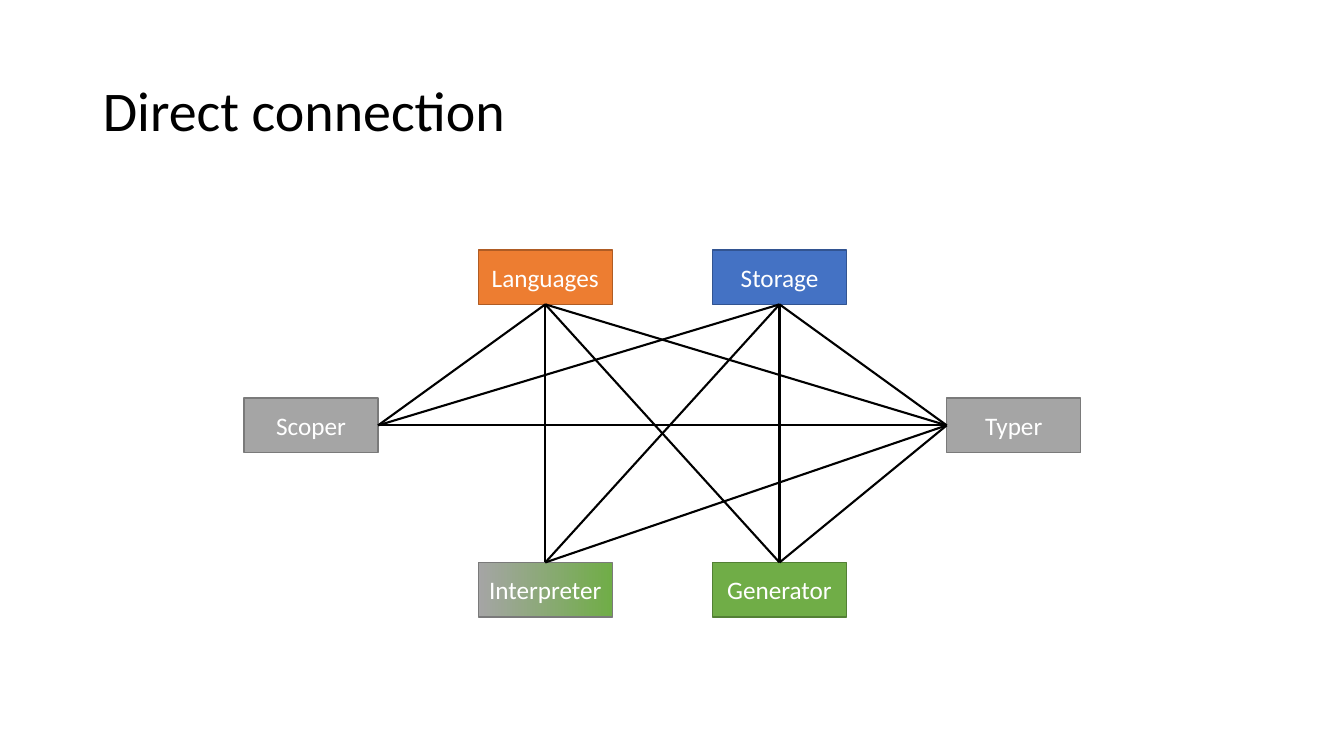
from lxml import etree
from pptx import Presentation
from pptx import util as u
from pptx.dml.color import RGBColor
from pptx.enum import shapes, text
from pptx.oxml.ns import qn

TITLE = "Direct connection"
FONT = "Calibri"
COLORS = {
    "black": "000000", "white": "FFFFFF",
    "blue": "4472C4", "blue_edge": "325491",
    "orange": "ED7D31", "orange_edge": "AF5C24",
    "gray": "A5A5A5", "gray_edge": "7A7A7A",
    "green": "70AD47", "green_edge": "538035",
}
TOP, LEFT, BOTTOM, RIGHT = range(4)
# name, column, row, fill colours, edge colour, connection side
BOXES = [
    ("Storage", 2, 0, ["blue"], "blue_edge", BOTTOM),
    ("Languages", 1, 0, ["orange"], "orange_edge", BOTTOM),
    ("Typer", 3, 1, ["gray"], "gray_edge", LEFT),
    ("Generator", 2, 2, ["green"], "green_edge", TOP),
    ("Scoper", 0, 1, ["gray"], "gray_edge", RIGHT),
    ("Interpreter", 1, 2, ["gray", "green"], "gray_edge", TOP),
]
LINKS = {
    "Typer": ["Languages", "Scoper", "Storage"],
    "Generator": ["Typer", "Storage", "Languages"],
    "Interpreter": ["Languages", "Storage", "Typer"],
    "Scoper": ["Languages", "Storage"],
}
FIRST_COL, LAST_COL = 2.42, 9.39
COL_STEP = (LAST_COL - FIRST_COL) / 3
ROW_TOPS = [2.48, 3.95, 5.58]
BOX_W, BOX_H = 1.33, 0.54


def rgb(name):
    return RGBColor.from_string(COLORS[name])


def format_text(tf, size, color, align):
    tf.vertical_anchor = text.MSO_ANCHOR.MIDDLE
    p = tf.paragraphs[0]
    p.alignment = align
    font = p.runs[0].font
    font.name, font.size = FONT, u.Pt(size)
    font.color.rgb = rgb(color)
    return p


def add_box(s, name, col, row, fills, edge):
    sp = s.shapes.add_shape(
        shapes.MSO_SHAPE.RECTANGLE,
        u.Inches(FIRST_COL + col * COL_STEP), u.Inches(ROW_TOPS[row]),
        u.Inches(BOX_W), u.Inches(BOX_H))
    sp.shadow.inherit = False
    if len(fills) == 1:
        sp.fill.solid()
        sp.fill.fore_color.rgb = rgb(fills[0])
    else:
        sp.fill.gradient()
        sp.fill.gradient_angle = 0
        for stop, color in zip(sp.fill.gradient_stops, fills):
            stop.color.rgb = rgb(color)
    sp.line.color.rgb = rgb(edge)
    sp.line.width = u.Pt(1)
    sp.text_frame.text = name
    format_text(sp.text_frame, 18, "white", text.PP_ALIGN.CENTER)
    return sp


def add_link(s, start, end):
    line = s.shapes.add_connector(shapes.MSO_CONNECTOR.STRAIGHT, 0, 0, 0, 0)
    line.begin_connect(*start)
    line.end_connect(*end)
    line.line.color.rgb = rgb("black")
    line.line.width = u.Pt(1.5)
    etree.SubElement(line._element.spPr, qn("a:effectLst"))


def main():
    prs = Presentation()
    prs.slide_width, prs.slide_height = u.Inches(13.33), u.Inches(7.5)
    s = prs.slides.add_slide(prs.slide_layouts[5])

    title = s.shapes.title
    title.left, title.top = u.Inches(0.92), u.Inches(0.4)
    title.width, title.height = u.Inches(11.5), u.Inches(1.45)
    title.text_frame.text = TITLE
    p = format_text(title.text_frame, 40, "black", text.PP_ALIGN.LEFT)
    p.line_spacing = 0.9

    ends = {}
    for name, col, row, fills, edge, side in BOXES:
        ends[name] = (add_box(s, name, col, row, fills, edge), side)
    for start, targets in LINKS.items():
        for end in targets:
            add_link(s, ends[start], ends[end])

    prs.save("out.pptx")


if __name__ == "__main__":
    main()
